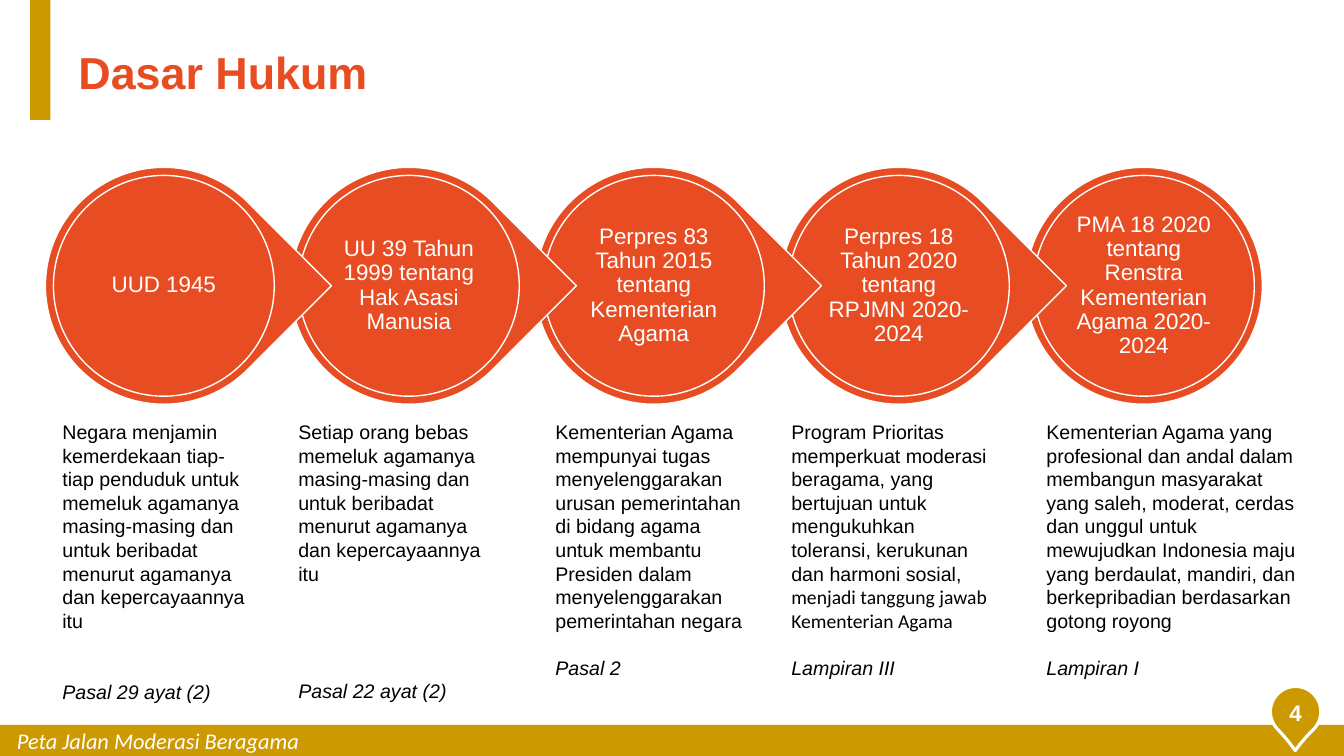
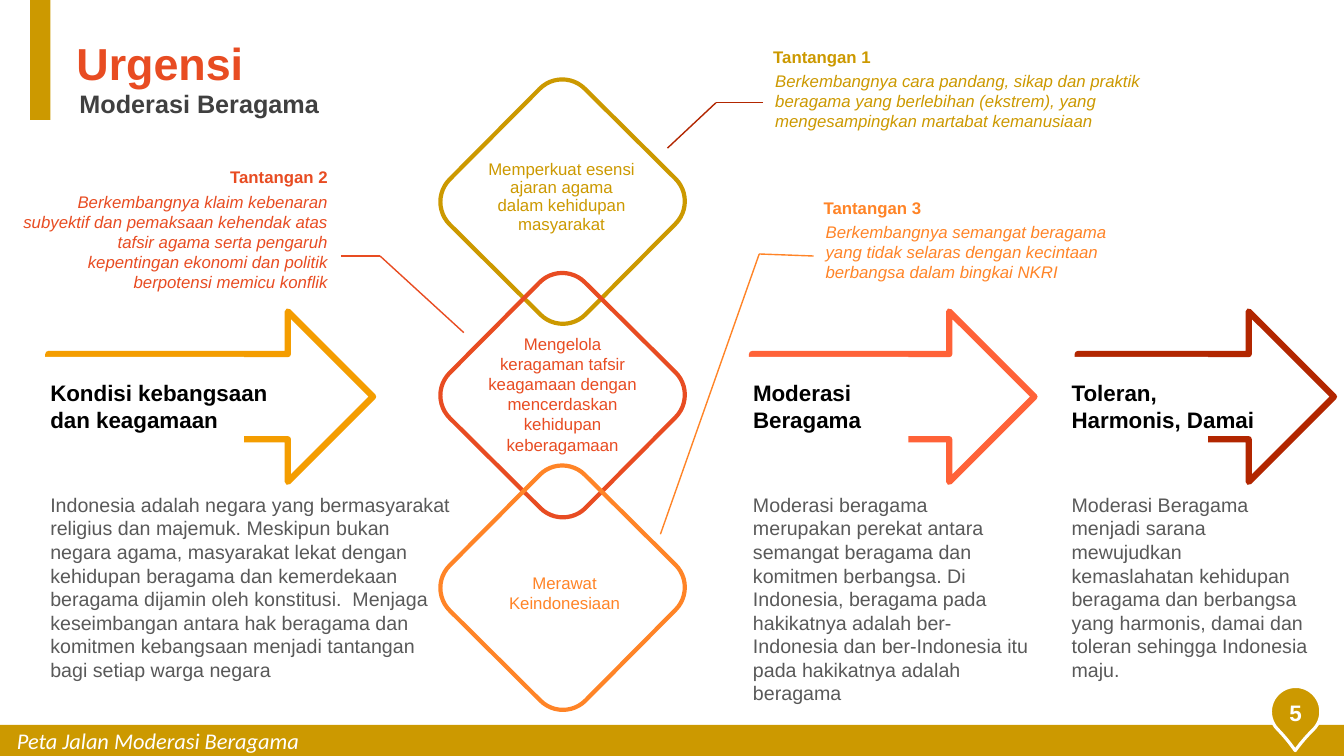
from lxml import etree
from pptx import Presentation
from pptx.dml.color import RGBColor
from pptx.enum.shapes import MSO_CONNECTOR, MSO_SHAPE
from pptx.enum.text import MSO_ANCHOR, PP_ALIGN
from pptx.oxml.ns import qn
from pptx.util import Inches, Pt

RECT = MSO_SHAPE.RECTANGLE
OVAL = MSO_SHAPE.OVAL
TEAR = MSO_SHAPE.TEAR
ROUND = MSO_SHAPE.ROUNDED_RECTANGLE
ARROW = MSO_SHAPE.RIGHT_ARROW
STRAIGHT = MSO_CONNECTOR.STRAIGHT
LEFT, CENTER, RIGHT = PP_ALIGN.LEFT, PP_ALIGN.CENTER, PP_ALIGN.RIGHT
TOP, MIDDLE = MSO_ANCHOR.TOP, MSO_ANCHOR.MIDDLE

GOLD, RED, ORANGE = "CC9900", "E84C22", "FF8427"
AMBER, CORAL, BRICK = "F49D00", "FF6238", "B22600"
WHITE, BLACK, GREY, DARK = "FFFFFF", "000000", "595959", "404040"
SANS, HUMANIST = "Arial", "Calibri"


def rgb(value):
    return RGBColor.from_string(value)


class Deck:
    def __init__(self):
        self.prs = Presentation()
        self.prs.slide_width = Inches(13.33)
        self.prs.slide_height = Inches(7.5)
        self.s = None

    def new_slide(self, number, title, title_left, title_top):
        self.s = self.prs.slides.add_slide(self.prs.slide_layouts[6])
        self.shape(RECT, 0, 7.19, 13.33, 0.31, fill=GOLD)
        self.text("Peta Jalan Moderasi Beragama", 0.07, 7.16, 3.52, 0.37,
                  size=16, color=WHITE, font=HUMANIST, italic=True)
        pin = self.shape(TEAR, 12.6, 6.81, 0.5, 0.5, fill=GOLD, line=WHITE,
                         weight=2.25, rotation=135.6)
        pin.adjustments[0] = 1.094
        self.text(str(number), 12.6, 6.89, 0.5, 0.37, size=16, color=WHITE,
                  bold=True, align=CENTER)
        self.shape(RECT, 0.3, 0, 0.2, 1.19, fill=GOLD)
        self.text(title, title_left, title_top, 6, 0.64, size=32, color=RED,
                  bold=True)

    def shape(self, kind, x, y, w, h, fill=None, line=None, weight=1,
              rotation=0):
        sp = self.s.shapes.add_shape(kind, Inches(x), Inches(y), Inches(w),
                                     Inches(h))
        sp.shadow.inherit = False
        sp.rotation = rotation
        if fill:
            sp.fill.solid()
            sp.fill.fore_color.rgb = rgb(fill)
        else:
            sp.fill.background()
        if line:
            sp.line.color.rgb = rgb(line)
            sp.line.width = Pt(weight)
        else:
            sp.line.fill.background()
        return sp

    def text(self, text, x, y, w, h, size=14, color=BLACK, font=SANS,
             bold=False, italic=False, align=LEFT, anchor=TOP, spacing=None,
             inset=None):
        box = self.s.shapes.add_textbox(Inches(x), Inches(y), Inches(w),
                                        Inches(h))
        tf = box.text_frame
        tf.word_wrap = True
        tf.vertical_anchor = anchor
        if inset is not None:
            tf.margin_left = tf.margin_right = Inches(inset)
            tf.margin_top = tf.margin_bottom = Inches(inset)
        tf.text = text
        p = tf.paragraphs[0]
        p.alignment = align
        if spacing:
            p.line_spacing = spacing
        for r in p.runs:
            self.style(r, size, color, font, bold, italic)
        return tf

    def style(self, r, size, color, font=SANS, bold=False, italic=False):
        r.font.size = Pt(size)
        r.font.name = font
        r.font.bold = bold
        r.font.italic = italic
        r.font.color.rgb = rgb(color)

    def polyline(self, points, color):
        for start, end in zip(points, points[1:]):
            c = self.s.shapes.add_connector(
                STRAIGHT, *(Inches(v) for v in start + end))
            c.line.color.rgb = rgb(color)
            c.line.width = Pt(1)
            etree.SubElement(c._element.spPr, qn("a:effectLst"))

    def drop(self, x, text, pointed):
        y = 1.66
        self.shape(TEAR if pointed else OVAL, x, y, 2.35, 2.35, fill=RED,
                   line=WHITE, rotation=45 if pointed else 0)
        self.shape(OVAL, x + 0.08, y + 0.08, 2.19, 2.19, fill=RED, line=WHITE)
        self.text(text, x + 0.39, y + 0.39, 1.57, 1.57, size=16, color=WHITE,
                  align=CENTER, anchor=MIDDLE, spacing=0.9, inset=0.02)

    def article(self, x, w, body, extra, source, gap):
        tf = self.text(body, x, 4.12, w, 2.93)
        if extra:
            r = tf.paragraphs[0].add_run()
            r.text = extra
            self.style(r, 14, BLACK, HUMANIST)
        p = tf.add_paragraph()
        p.text = source
        p.space_before = Pt(gap)
        self.style(p.runs[0], 14, BLACK, italic=True)

    def challenge(self, label, body, x, y, w, h, color, align, leader):
        shift = -0.02 if align == LEFT else 0
        self.text(label, x + shift, y - 0.24, w, 0.3, size=12, color=color,
                  bold=True, align=align)
        self.text(body, x, y, w, h, size=12, color=color, italic=True,
                  align=align)
        points, line_color = leader
        self.polyline(points, line_color)

    def stage(self, arrow, mask, heading, body, color):
        self.shape(ARROW, arrow[0], 3.09, arrow[1], 1.69, line=color,
                   weight=4.5)
        self.shape(RECT, mask[0], 3.54, mask[1], 0.9, fill=WHITE)
        x, w, text = heading
        self.text(text, x, 3.71, w, 0.64, size=16, bold=True)
        w, text = body
        self.text(text, x, 4.84, w, 2.22, color=GREY)

    def diamond(self, y, color, text, x, text_y, w, h, spacing=None):
        self.shape(ROUND, 4.63, y, 1.9, 1.9, line=color, weight=3,
                   rotation=314.8)
        self.text(text, x, text_y, w, h, size=12, color=color, align=CENTER,
                  spacing=spacing)


LAWS = [
    "UUD 1945",
    "UU 39 Tahun 1999 tentang Hak Asasi Manusia",
    "Perpres 83 Tahun 2015 tentang Kementerian Agama",
    "Perpres 18 Tahun 2020 tentang RPJMN 2020-2024",
    "PMA 18 2020 tentang Renstra Kementerian Agama 2020-2024",
]

ARTICLES = [
    (0.52, 2.09, "Negara menjamin kemerdekaan tiap-tiap penduduk untuk "
     "memeluk agamanya masing-masing dan untuk beribadat menurut agamanya "
     "dan kepercayaannya itu", "", "Pasal 29 ayat (2)", 34),
    (2.86, 2.09, "Setiap orang bebas memeluk agamanya masing-masing dan "
     "untuk beribadat menurut agamanya dan kepercayaannya itu", "",
     "Pasal 22 ayat (2)", 67),
    (5.41, 2.09, "Kementerian Agama mempunyai tugas menyelenggarakan urusan "
     "pemerintahan di bidang agama untuk membantu Presiden dalam "
     "menyelenggarakan pemerintahan negara", "", "Pasal 2", 17),
    (7.75, 2.22, "Program Prioritas memperkuat moderasi beragama, yang "
     "bertujuan untuk mengukuhkan toleransi, kerukunan dan harmoni sosial, ",
     "menjadi tanggung jawab Kementerian Agama", "Lampiran III", 17),
    (10.28, 2.71, "Kementerian Agama yang profesional dan andal dalam "
     "membangun masyarakat yang saleh, moderat, cerdas dan unggul untuk "
     "mewujudkan Indonesia maju yang berdaulat, mandiri, dan berkepribadian "
     "berdasarkan gotong royong", "", "Lampiran I", 17),
]

CHALLENGES = [
    ("Tantangan 1", "Berkembangnya cara pandang, sikap dan praktik beragama "
     "yang berlebihan (ekstrem), yang mengesampingkan martabat kemanusiaan",
     7.59, 0.65, 4.52, 0.71, GOLD, LEFT,
     ([(7.57, 1.02), (7.1, 1.02), (6.62, 1.47)], BRICK)),
    ("Tantangan 2", "Berkembangnya klaim kebenaran subyektif dan pemaksaan "
     "kehendak atas tafsir agama serta pengaruh kepentingan ekonomi dan "
     "politik berpotensi memicu konflik",
     0.13, 1.85, 3.22, 1.11, RED, RIGHT,
     ([(3.38, 2.54), (3.77, 2.54), (4.6, 3.3)], RED)),
    ("Tantangan 3", "Berkembangnya semangat beragama yang tidak selaras "
     "dengan kecintaan berbangsa dalam bingkai NKRI",
     8.09, 2.15, 3.24, 0.71, ORANGE, LEFT,
     ([(8.07, 2.54), (7.53, 2.52), (6.55, 5.3)], ORANGE)),
]

STAGES = [
    ((0.48, 3.22), (0.1, 2.32),
     (0.4, 2.39, "Kondisi kebangsaan dan keagamaan"),
     (4.21, "Indonesia adalah negara yang bermasyarakat religius dan majemuk. "
      "Meskipun bukan negara agama, masyarakat lekat dengan kehidupan "
      "beragama dan kemerdekaan beragama dijamin oleh konstitusi.  Menjaga "
      "keseimbangan antara hak beragama dan komitmen kebangsaan menjadi "
      "tantangan bagi setiap warga negara"), AMBER),
    ((7.46, 2.8), (7.24, 1.77),
     (7.37, 1.35, "Moderasi Beragama"),
     (2.94, "Moderasi beragama merupakan perekat antara semangat beragama "
      "dan komitmen berbangsa. Di Indonesia, beragama pada hakikatnya adalah "
      "ber-Indonesia dan ber-Indonesia itu pada hakikatnya adalah beragama"),
     CORAL),
    ((10.69, 2.54), (10.48, 1.5),
     (10.53, 2.08, "Toleran, Harmonis, Damai"),
     (2.54, "Moderasi Beragama menjadi sarana mewujudkan kemaslahatan "
      "kehidupan beragama dan berbangsa yang harmonis, damai dan toleran "
      "sehingga Indonesia maju."), BRICK),
]

DIAMONDS = [
    (1.05, GOLD, "Memperkuat esensi ajaran agama dalam kehidupan masyarakat",
     4.73, 1.55, 1.68, 1.01, 0.9),
    (2.97, RED, "Mengelola keragaman tafsir keagamaan dengan mencerdaskan "
     "kehidupan keberagamaan", 4.72, 3.26, 1.72, 1.31),
    (4.88, ORANGE, "Merawat Keindonesiaan", 4.65, 5.63, 1.9, 0.5),
]


def main():
    deck = Deck()

    deck.new_slide(4, "Dasar Hukum", 0.68, 0.39)
    last = len(LAWS) - 1
    for i in range(last, -1, -1):
        deck.drop(0.45 + 2.43 * i, LAWS[i], pointed=i < last)
    for article in ARTICLES:
        deck.article(*article)

    deck.new_slide(5, "Urgensi", 0.66, 0.31)
    deck.text("Moderasi Beragama", 0.69, 0.83, 4.1, 0.4, size=18, color=DARK,
              bold=True)
    for stage in STAGES:
        deck.stage(*stage)
    for challenge in CHALLENGES:
        deck.challenge(*challenge)
    for diamond in DIAMONDS:
        deck.diamond(*diamond)

    deck.prs.save("out.pptx")


if __name__ == "__main__":
    main()
